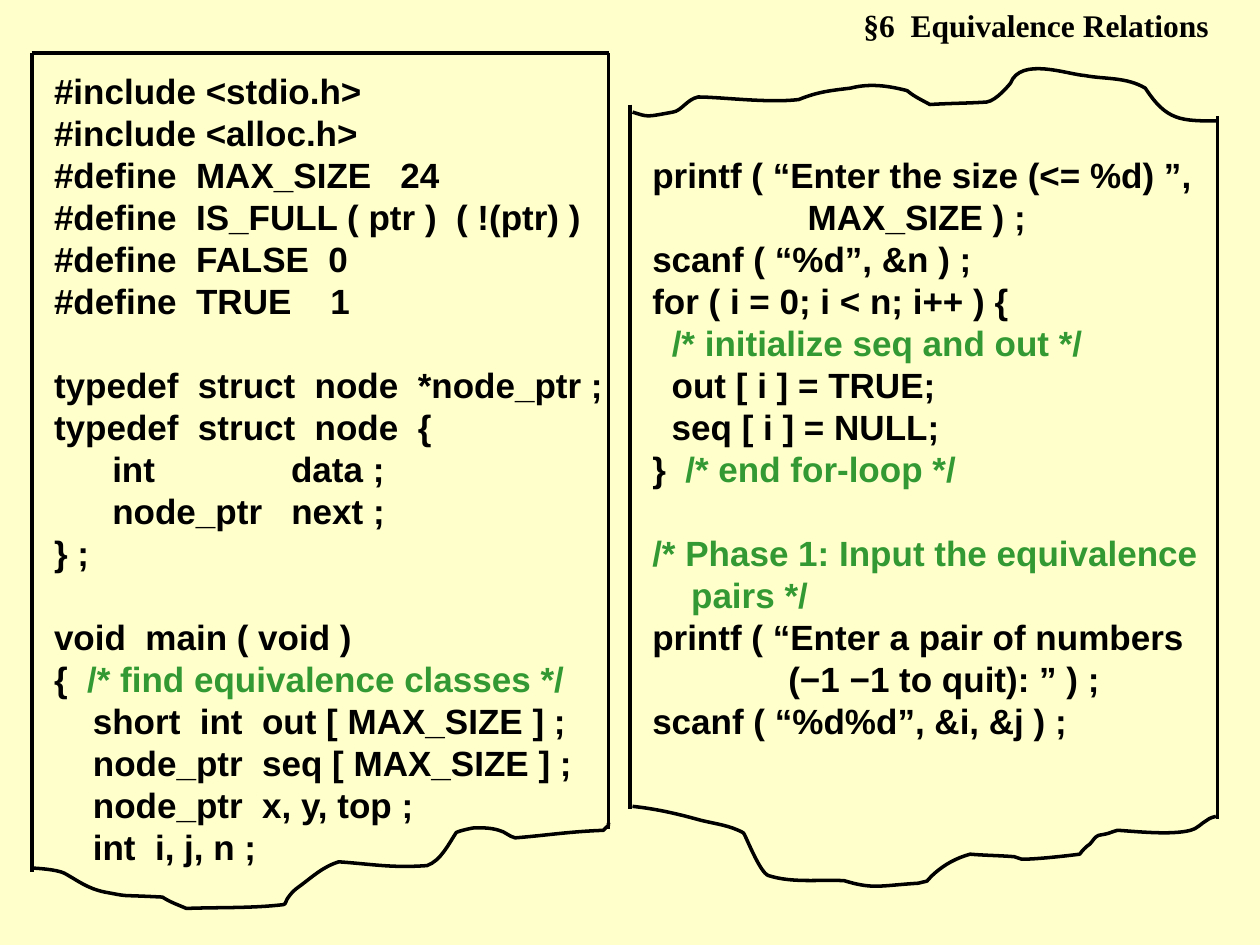
"""Build the slide with two torn code listings for equivalence relations."""
import pptx
import pptx.dml.color
import pptx.enum.shapes
import pptx.enum.text
import pptx.oxml.ns
import pptx.util
from lxml import etree
from pptx.util import Cm, Pt

BLACK = pptx.dml.color.RGBColor(0x00, 0x00, 0x00)
GREEN = pptx.dml.color.RGBColor(0x33, 0x99, 0x33)
CREAM = pptx.dml.color.RGBColor(0xFF, 0xFF, 0xCC)
qn = pptx.oxml.ns.qn
HUNDREDTH_INCH = Cm(2.54) / 100

presentation = pptx.Presentation()
presentation.slide_width, presentation.slide_height = Cm(25.4), Cm(19.05)
slide = presentation.slides.add_slide(presentation.slide_layouts[5])
slide.background.fill.solid()
slide.background.fill.fore_color.rgb = CREAM

title = slide.shapes.title
title.left, title.top, title.width, title.height = Cm(17.15), Cm(0), Cm(8.23), Cm(1.02)
title.text_frame.text = "§6  Equivalence Relations"
title.text_frame.auto_size = pptx.enum.text.MSO_AUTO_SIZE.NONE
title.text_frame.vertical_anchor = pptx.enum.text.MSO_ANCHOR.TOP
paragraph = title.text_frame.paragraphs[0]
paragraph.alignment = pptx.enum.text.PP_ALIGN.LEFT
paragraph.font.name = "Times New Roman"
paragraph.font.size = Pt(18)
paragraph.font.bold = True
paragraph.font.color.rgb = BLACK

declarations = [
    [
        ("#include <stdio.h>", ""),
        ("#include <alloc.h>", ""),
        ("#define  MAX_SIZE   24", ""),
        ("#define  IS_FULL ( ptr )  ( !(ptr) )", ""),
        ("#define  FALSE  0", ""),
        ("#define  TRUE    1", ""),
    ],
    [
        ("typedef  struct  node  *node_ptr ;", ""),
        ("typedef  struct  node  {", ""),
        ("      int              data ;", ""),
        ("      node_ptr   next ;", ""),
        ("} ;", ""),
    ],
    [
        ("void  main ( void )", ""),
        ("{  ", "/* find equivalence classes */"),
        ("    short  int  out [ MAX_SIZE ] ;", ""),
        ("    node_ptr  seq [ MAX_SIZE ] ;", ""),
        ("    node_ptr  x, y, top ;", ""),
        ("    int  i, j, n ;", ""),
    ],
]
input_phase = [
    [
        ("printf ( “Enter the size (<= %d) ”,", ""),
        ("                MAX_SIZE ) ;", ""),
        ("scanf ( “%d”, &n ) ;", ""),
        ("for ( i = 0; i < n; i++ ) {", ""),
        ("  ", "/* initialize seq and out */"),
        ("  out [ i ] = TRUE;", ""),
        ("  seq [ i ] = NULL;", ""),
        ("}  ", "/* end for-loop */"),
    ],
    [
        ("", "/* Phase 1: Input the equivalence"),
        ("", "    pairs */"),
        ("printf ( “Enter a pair of numbers", ""),
        ("              (−1 −1 to quit): ” ) ;", ""),
        ("scanf ( “%d%d”, &i, &j ) ;", ""),
    ],
]
listings = [
    (declarations, 0.84, 1.27, 11.86, 16.36),
    (input_phase, 12.9, 2.97, 12.07, 12.12),
]
for blocks, left, top, width, height in listings:
    listing = slide.shapes.add_textbox(Cm(left), Cm(top), Cm(width), Cm(height))
    text_frame = listing.text_frame
    text_frame.word_wrap = True
    paragraph = text_frame.paragraphs[0]
    for block_index, block in enumerate(blocks):
        for line_index, (code, comment) in enumerate(block):
            if block_index or line_index:
                paragraph = text_frame.add_paragraph()
            paragraph.line_spacing = Pt(24)
            paragraph.space_before = Pt(24 if block_index and not line_index else 0)
            paragraph.font.name = "Arial"
            paragraph.font.size = Pt(20)
            paragraph.font.bold = True
            paragraph.font.color.rgb = BLACK if code else GREEN
            if code:
                paragraph.add_run().text = code
            if comment:
                run = paragraph.add_run()
                run.text = comment
                run.font.color.rgb = GREEN

edges = [
    (0.64, 1.07, 0.64, 17.58),
    (0.64, 1.07, 12.27, 1.07),
    (12.27, 1.07, 12.27, 16.71),
    (12.7, 2.11, 12.7, 16.31),
    (24.54, 2.34, 24.54, 16.51),
]
for edge in edges:
    connector = slide.shapes.add_connector(
        pptx.enum.shapes.MSO_CONNECTOR.STRAIGHT, *[Cm(value) for value in edge])
    connector.line.color.rgb = BLACK
    connector.line.width = Pt(2)
    etree.SubElement(connector._element.spPr, qn("a:effectLst"))

left_bottom_tear = [
    (26, 689), (28, 689), (45, 690), (51, 693), (62, 699), (69, 705), (83, 708),
    (105, 712), (90, 710), (129, 712), (135, 716), (141, 718), (148, 721),
    (174, 720), (199, 721), (225, 718), (227, 718), (227, 714), (229, 712),
    (231, 709), (234, 706), (237, 704), (248, 696), (256, 688), (269, 684),
    (297, 686), (311, 689), (339, 687), (350, 683), (356, 670), (362, 661),
    (362, 660), (375, 657), (377, 657), (383, 657), (390, 657), (396, 659),
    (401, 660), (404, 664), (409, 665), (434, 663), (452, 660), (479, 659),
    (483, 654), (483, 657), (483, 653),
]
right_top_tear = [
    (502, 89), (515, 93), (512, 93), (534, 89), (541, 88), (545, 79), (554, 77),
    (572, 77), (610, 82), (634, 79), (649, 73), (658, 72), (675, 70),
    (690, 66), (705, 68), (720, 72), (726, 77), (731, 79), (738, 83),
    (753, 82), (768, 82), (783, 81), (791, 80), (802, 66), (802, 66),
    (810, 45), (847, 59), (861, 60), (877, 63), (894, 61), (909, 70),
    (926, 96), (937, 96), (967, 96),
]
right_bottom_tear = [
    (502, 640), (521, 642), (538, 646), (556, 651), (568, 654), (579, 655), (590, 661),
    (591, 661), (603, 693), (610, 695), (629, 701), (650, 698), (670, 699),
    (693, 706), (698, 703), (729, 701), (740, 698), (732, 702), (742, 693),
    (750, 686), (759, 681), (770, 678), (782, 679), (793, 679), (805, 680),
    (807, 680), (809, 682), (811, 682), (826, 682), (857, 678), (857, 678),
    (859, 675), (862, 672), (865, 670), (867, 668), (869, 664), (872, 663),
    (883, 661), (877, 662), (887, 659), (902, 660), (930, 663), (945, 659),
    (950, 658), (954, 653), (958, 651), (960, 649), (965, 648), (965, 648),
]
for points in (left_bottom_tear, right_top_tear, right_bottom_tear):
    builder = slide.shapes.build_freeform(*points[0], scale=HUNDREDTH_INCH)
    builder.add_line_segments(points[1:], close=False)
    tear = builder.convert_to_shape()
    tear.shadow.inherit = False
    tear.fill.background()
    tear.line.color.rgb = BLACK
    tear.line.width = Pt(2)
    segments = list(tear._element.iter(qn("a:lnTo")))
    for triple in zip(segments[::3], segments[1::3], segments[2::3]):
        curve = etree.Element(qn("a:cubicBezTo"))
        triple[0].addprevious(curve)
        for segment in triple:
            curve.append(segment[0])
            segment.getparent().remove(segment)

presentation.save("out.pptx")
